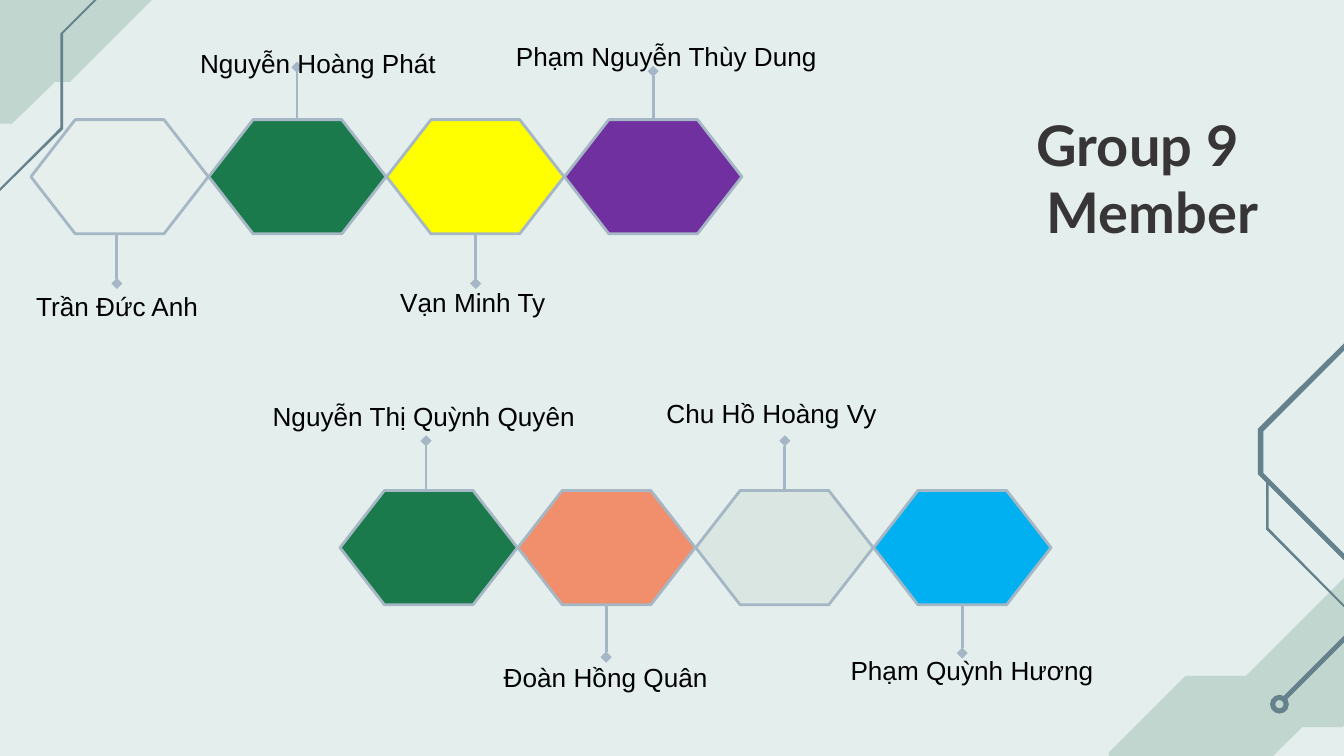
from lxml import etree
from pptx import Presentation
from pptx.dml.color import RGBColor
from pptx.enum.shapes import MSO_CONNECTOR, MSO_SHAPE
from pptx.enum.text import MSO_ANCHOR, MSO_AUTO_SIZE, PP_ALIGN
from pptx.oxml.ns import qn
from pptx.util import Inches, Pt

STRAIGHT = MSO_CONNECTOR.STRAIGHT
HEXAGON, DONUT = MSO_SHAPE.HEXAGON, MSO_SHAPE.DONUT
MIDDLE, TOP = MSO_ANCHOR.MIDDLE, MSO_ANCHOR.TOP
CENTER, LEFT = PP_ALIGN.CENTER, PP_ALIGN.LEFT
GROW = MSO_AUTO_SIZE.SHAPE_TO_FIT_TEXT

COLORS = {
    "background": "E3EEED", "band": "C1D6CE", "circuit": "64818C",
    "title": "383536", "label": "000000", "stem": "A5B7C6", "outline": "A5B7C5",
    "mist": "E6EFEB", "green": "1B7A4B", "yellow": "FFFF00", "purple": "7030A0",
    "coral": "F18E6C", "sage": "DAE6E2", "blue": "00B0F0",
}
TITLE_FONT = {"name": "Lato", "size": Pt(30), "bold": True}
LABEL_FONT = {"name": "Arial", "size": Pt(14)}

SLIDE_WIDTH = 10
SLIDE_HEIGHT = SLIDE_WIDTH * 9 / 16
HEXAGON_WIDTH, HEXAGON_HEIGHT, HEXAGON_INSET = 1.32, 0.85, 0.33
# Each stem: distance from the chain's left side, length outside the hexagon
STEMS = ((0.64, 0.37), (1.98, 0.39), (3.31, 0.37), (4.63, 0.36))
STEM_OVERLAP = 0.03
LABEL_HEIGHT = 0.34

# Each member: name, hexagon colour, label left, top and width within the chain
TOP_MEMBERS = [
    ("Trần Đức Anh", "mist", -0.06, 1.22, 1.43),
    ("Nguyễn Hoàng Phát", "green", 1.16, -0.59, 1.97),
    ("Vạn Minh Ty", "yellow", 2.65, 1.19, 1.3),
    ("Phạm Nguyễn Thùy Dung", "purple", 3.51, -0.64, 2.45),
]
BOTTOM_MEMBERS = [
    ("Nguyễn Thị Quỳnh Quyên", "green", -0.6, -0.72, 2.47),
    ("Đoàn Hồng Quân", "coral", 1.12, 1.22, 1.73),
    ("Chu Hồ Hoàng Vy", "sage", 2.33, -0.74, 1.78),
    ("Phạm Quỳnh Hương", "blue", 3.7, 1.17, 2.02),
]

# Outlines measured from the top corner of the slide on their side
LEFT_OUTLINES = [
    ("band", [(1.19, -0.72), (0.65, -0.18), (0.16, -0.18), (-0.94, 0.92),
              (0.09, 0.92), (0.41, 0.61), (0.52, 0.61), (1.85, -0.72)]),
    ("circuit", [(1.21, -0.51), (0.45, 0.25), (0.45, 0.95), (-0.12, 1.52),
                 (-0.11, 1.53), (0.47, 0.96), (0.47, 0.25), (1.22, -0.5)]),
]
RIGHT_OUTLINES = [
    ("band", [(0.27, 4.03), (-0.73, 5.03), (-1.18, 5.03), (-1.75, 5.6),
              (-1.75, 5.86), (-2.11, 6.22), (-1.13, 6.22), (-0.31, 5.41),
              (-0.01, 5.41), (0.58, 4.82), (0.58, 4.66), (1.21, 4.03)]),
    ("circuit", [(2.18, 1.15), (1.21, 2.12), (0.43, 2.12), (0.43, 2.13),
                 (-0.64, 3.19), (-0.64, 3.53), (0.01, 4.18), (0.01, 4.72),
                 (-0.47, 5.2), (-0.44, 5.22), (0.05, 4.73), (0.05, 4.17),
                 (-0.6, 3.52), (-0.6, 3.21), (0.45, 2.16), (1.22, 2.16),
                 (1.23, 2.15), (2.21, 1.18)]),
    ("circuit", [(-0.58, 3.57), (-0.58, 3.94), (0.02, 4.54), (0.03, 4.53),
                 (-0.56, 3.93), (-0.56, 3.57)]),
]


def rgb(name):
    return RGBColor.from_string(COLORS[name])


def paint(shape, fill, outline=None):
    shape.shadow.inherit = False
    shape.fill.solid()
    shape.fill.fore_color.rgb = rgb(fill)
    if outline:
        shape.line.color.rgb = rgb(outline)
        shape.line.width = Pt(1.5)
    else:
        shape.line.fill.background()


def add_text(slide, box, text, font_format, color, frame_format, alignment=LEFT):
    """Add a one-paragraph text box and return the paragraph."""
    frame = slide.shapes.add_textbox(*map(Inches, box)).text_frame
    for key, value in frame_format.items():
        setattr(frame, key, value)
    paragraph = frame.paragraphs[0]
    paragraph.text = text
    paragraph.alignment = alignment
    for run in paragraph.runs:
        run.font.color.rgb = rgb(color)
        for key, value in font_format.items():
            setattr(run.font, key, value)
    return paragraph


def add_stem(slide, x, start, end):
    stem = slide.shapes.add_connector(STRAIGHT, *map(Inches, (x, start, x, end)))
    stem.line.color.rgb = rgb("stem")
    stem.line.width = Pt(1.5)
    etree.SubElement(stem.line._get_or_add_ln(), qn("a:tailEnd"), type="diamond")
    etree.SubElement(stem._element.spPr, qn("a:effectLst"))


def add_corner(slide, left, top, outlines):
    for color, points in outlines:
        corners = [(Inches(left + x), Inches(top + y)) for x, y in points]
        builder = slide.shapes.build_freeform(*corners[0], scale=1.0)
        builder.add_line_segments(corners[1:], close=True)
        paint(builder.convert_to_shape(), color)


def add_ring(slide, left, top, size):
    ring = slide.shapes.add_shape(DONUT, *map(Inches, (left, top, size, size)))
    ring.adjustments[0] = 0.28
    paint(ring, "circuit")


def add_title(slide, box):
    """Centre the title, with its second line shifted by a hanging indent."""
    margins = ("margin_left", "margin_top", "margin_right", "margin_bottom")
    frame_format = {"word_wrap": True, "vertical_anchor": MIDDLE}
    frame_format.update(dict.fromkeys(margins, Inches(0.1)))
    paragraph = add_text(slide, box, "Group 9\vMember", TITLE_FONT, "title",
                         frame_format, CENTER)
    properties = paragraph._p.get_or_add_pPr()
    properties.set("marL", str(Inches(0.22)))
    properties.set("indent", str(-Inches(0.22)))


def add_member_chain(slide, left, top, width, members, first_below):
    """Draw touching hexagons whose stems and names alternate below and above."""
    pitch = (width - HEXAGON_WIDTH) / (len(members) - 1)
    bottom = top + HEXAGON_HEIGHT
    for index, (member, stem) in enumerate(zip(members, STEMS)):
        name, color, label_left, label_top, label_width = member
        stem_left, stem_length = stem
        below = (index % 2 == 0) == first_below
        edge, direction = (bottom, 1) if below else (top, -1)
        add_stem(slide, left + stem_left, edge - direction * STEM_OVERLAP,
                 edge + direction * stem_length)
        box = (left + index * pitch, top, HEXAGON_WIDTH, HEXAGON_HEIGHT)
        hexagon = slide.shapes.add_shape(HEXAGON, *map(Inches, box))
        hexagon.adjustments[0] = HEXAGON_INSET / HEXAGON_HEIGHT
        paint(hexagon, color, "outline")
        add_text(slide, (left + label_left, top + label_top, label_width, LABEL_HEIGHT),
                 name, LABEL_FONT, "label",
                 {"word_wrap": False, "auto_size": GROW, "vertical_anchor": TOP})


def main():
    presentation = Presentation()
    presentation.slide_width = Inches(SLIDE_WIDTH)
    presentation.slide_height = Inches(SLIDE_HEIGHT)
    slide = presentation.slides.add_slide(presentation.slide_layouts[6])
    slide.background.fill.solid()
    slide.background.fill.fore_color.rgb = rgb("background")

    add_corner(slide, 0, 0, LEFT_OUTLINES)
    add_corner(slide, SLIDE_WIDTH, 0, RIGHT_OUTLINES)
    add_ring(slide, 9.45, 5.17, 0.14)
    add_title(slide, (7.25, 0.73, 2.43, 1.18))
    add_member_chain(slide, 0.23, 0.89, 5.29, TOP_MEMBERS, first_below=True)
    add_member_chain(slide, 2.53, 3.65, 5.29, BOTTOM_MEMBERS, first_below=False)
    presentation.save("out.pptx")


if __name__ == "__main__":
    main()
